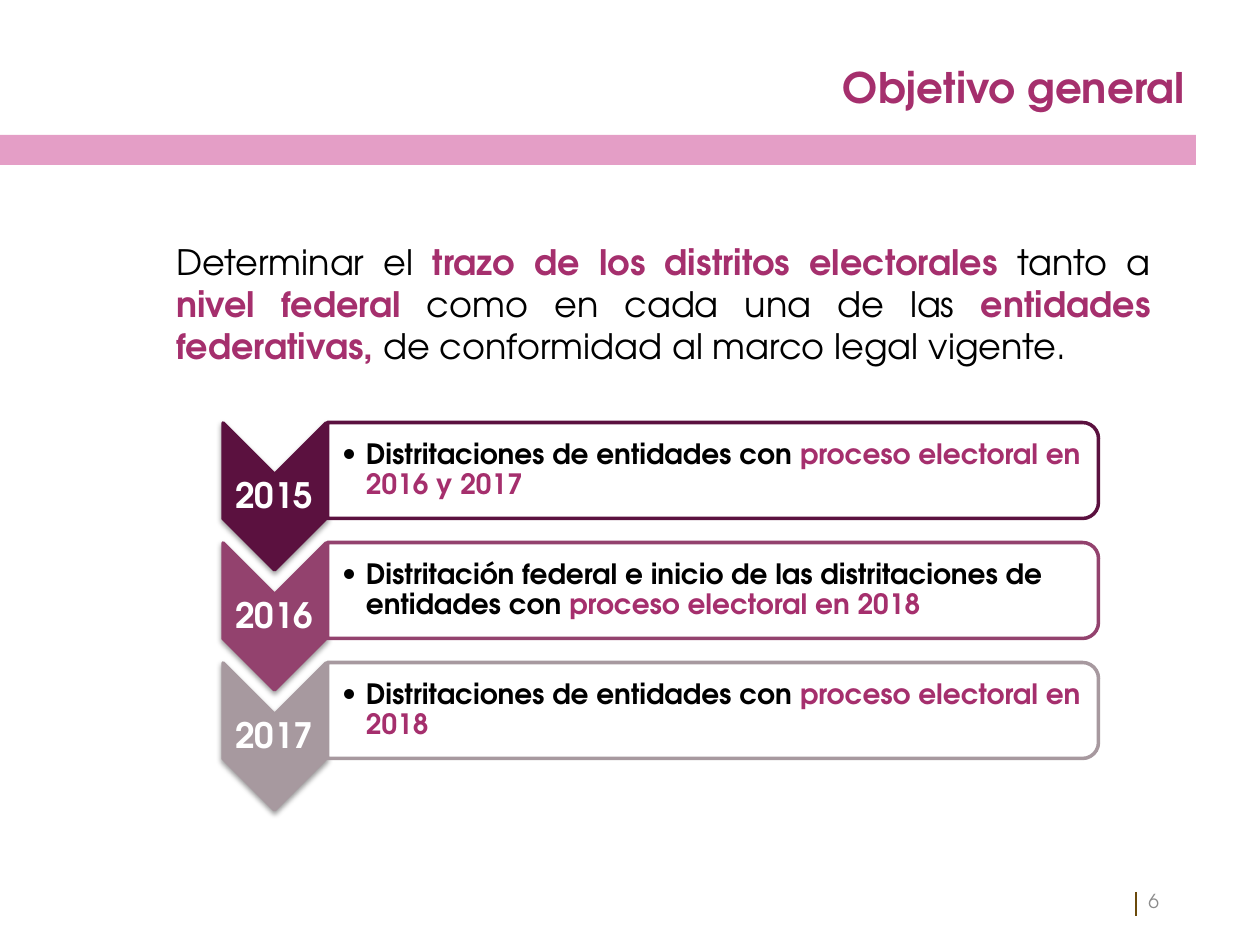
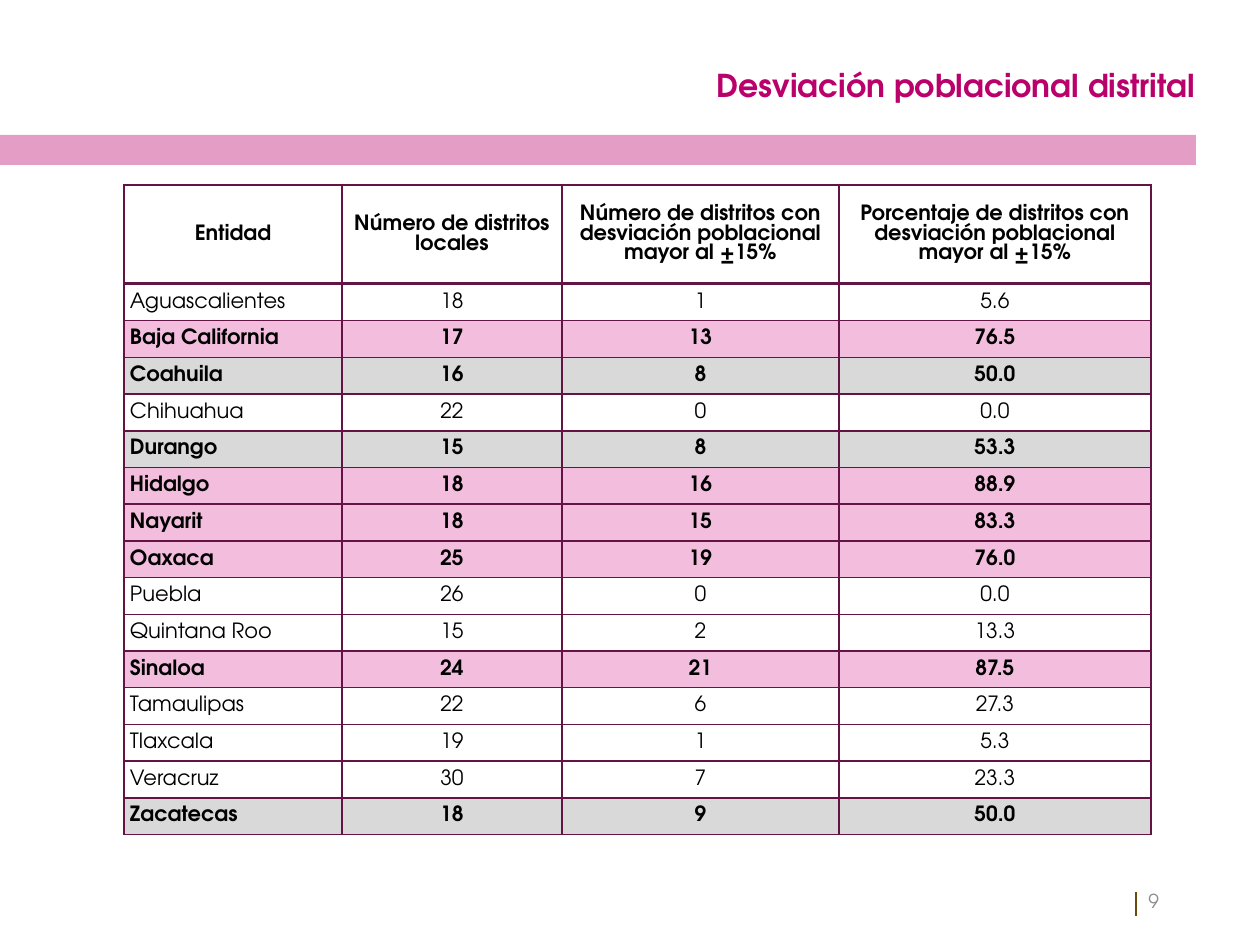
from lxml.etree import SubElement
from pptx import Presentation
from pptx.dml.color import RGBColor
from pptx.enum.shapes import MSO_CONNECTOR, MSO_SHAPE
from pptx.enum.text import MSO_ANCHOR, PP_ALIGN
from pptx.oxml import parse_xml
from pptx.oxml.ns import nsdecls, qn
from pptx.util import Emu, Pt

FONT = "TeX Gyre Adventor"
COLOURS = {
    "black": "000000", "white": "FFFFFF", "accent": "A52F6D", "magenta": "BA006B",
    "number": "8C8C8C", "tick": "6B4A0B", "border": "641345",
    "plum": "5B113F", "mauve": "93426E", "taupe": "A7999F",
    "pink": "F3BDDE", "grey": "D9D9D9",
}
RGB = {name: RGBColor.from_string(value) for name, value in COLOURS.items()}


def px(*lengths):
    """Turn pixels (126 to the inch) into EMU."""
    return [Emu(round(length * 914400 / 126)) for length in lengths]


def write(frame, segments, size, align=PP_ALIGN.LEFT, anchor=MSO_ANCHOR.MIDDLE, spacing=None):
    """Fill a text frame with one paragraph of (text, colour, bold) segments."""
    frame.word_wrap = True
    frame.vertical_anchor = anchor
    paragraph = frame.paragraphs[0]
    paragraph.alignment = align
    paragraph.line_spacing = spacing
    for text, colour, bold in segments:
        run = paragraph.add_run()
        run.text = text
        run.font.name, run.font.size, run.font.bold = FONT, Pt(size), bold
        run.font.color.rgb = RGB[colour]
    return paragraph


prs = Presentation()
prs.slide_width, prs.slide_height = px(1260, 945)

# Shared parts: band, title, page number and its tick
slides = []
for title, size, colour, frame, number in [
    ("Objetivo general", 24, "accent", (561, 38, 636, 97), "6"),
    ("Desviación poblacional distrital", 18, "magenta", (558, 47, 650, 76), "9"),
]:
    slide = prs.slides.add_slide(prs.slide_layouts[5])
    slides.append(slide)

    band = slide.shapes.add_shape(MSO_SHAPE.RECTANGLE, *px(0, 135, 1196, 30))
    band.shadow.inherit = False
    band.fill.solid()
    band.fill.fore_color.rgb = RGB["magenta"]
    band_colour = band.fill._xPr.find(".//" + qn("a:srgbClr"))
    SubElement(band_colour, qn("a:alpha"), val="38000")
    band.line.fill.background()

    heading = slide.shapes.title
    heading.left, heading.top, heading.width, heading.height = px(*frame)
    write(heading.text_frame, [(title, colour, True)], size, PP_ALIGN.RIGHT)

    page = slide.shapes.add_textbox(*px(1136, 876, 60, 50))
    write(page.text_frame, [(number, "number", False)], 11)

    tick = slide.shapes.add_connector(MSO_CONNECTOR.STRAIGHT, *px(1136, 892, 1136, 916))
    tick.line.color.rgb = RGB["tick"]
    tick.line.width = Pt(0.75)
    SubElement(tick._element.spPr, qn("a:effectLst"))

objective_slide, deviation_slide = slides

# Objective statement
statement = objective_slide.shapes.add_textbox(*px(164, 234, 999, 150))
write(statement.text_frame, [
    ("Determinar el ", "black", False),
    ("trazo de los distritos electorales ", "accent", True),
    ("tanto a ", "black", False),
    ("nivel federal ", "accent", True),
    ("como en cada una de las ", "black", False),
    ("entidades federativas, ", "accent", True),
    ("de conformidad al marco legal vigente.", "black", False),
], 20, PP_ALIGN.JUSTIFY, MSO_ANCHOR.TOP)

# Yearly stages: chevron, year, outlined panel and bullet
stages = [
    ("2015", "plum", "Distritaciones de entidades con ", "proceso electoral en 2016 y 2017"),
    ("2016", "mauve", "Distritación federal e inicio de las distritaciones de entidades con ",
     "proceso electoral en 2018"),
    ("2017", "taupe", "Distritaciones de entidades con ", "proceso electoral en 2018"),
]
STAGE_PITCH = 120
for i, (year, colour, task, election) in enumerate(stages):
    drop = i * STAGE_PITCH
    chevron = objective_slide.shapes.add_shape(MSO_SHAPE.CHEVRON, *px(201, 445 + drop, 147, 103))
    panel = objective_slide.shapes.add_shape(
        MSO_SHAPE.ROUND_2_SAME_RECTANGLE, *px(665, 85 + drop, 96, 771))
    for outline, fill in [(chevron, colour), (panel, "white")]:
        outline.rotation = 90
        outline.shadow.inherit = False
        outline.fill.solid()
        outline.fill.fore_color.rgb = RGB[fill]
        outline.line.color.rgb = RGB[colour]
        outline.line.width = Pt(2)
    shadow = SubElement(
        chevron._element.spPr.find(qn("a:effectLst")), qn("a:outerShdw"),
        blurRad=str(Pt(3.1)), dist=str(Pt(1.6)), dir="5400000", rotWithShape="0")
    shadow_colour = SubElement(shadow, qn("a:srgbClr"), val=COLOURS["black"])
    SubElement(shadow_colour, qn("a:alpha"), val="38000")

    year_label = objective_slide.shapes.add_textbox(*px(223, 475 + drop, 103, 44))
    task_label = objective_slide.shapes.add_textbox(*px(327, 427 + drop, 767, 87))
    for label, left_inset in [(year_label, 1), (task_label, 15)]:
        text = label.text_frame
        text.margin_left, text.margin_top, text.margin_right, text.margin_bottom = px(
            left_inset, 1, 1, 1)
    write(year_label.text_frame, [(year, "white", True)], 20, PP_ALIGN.CENTER, spacing=0.9)
    bullet = write(task_label.text_frame, [(task, "black", True), (election, "accent", True)],
                   16, spacing=0.9)
    indent = px(24)[0]
    properties = bullet._p.get_or_add_pPr()
    properties.set("marL", str(indent))
    properties.set("indent", str(-indent))
    SubElement(properties, qn("a:buFont"), typeface=FONT)
    SubElement(properties, qn("a:buChar"), char="•")

# Deviation table: local districts and those beyond ±15%
headers = [
    "Entidad", "Número de distritos locales",
    "Número de distritos con desviación poblacional mayor al ±15%",
    "Porcentaje de distritos con desviación poblacional mayor al ±15%",
]
entities = [
    ("Aguascalientes", 18, 1), ("Baja California", 17, 13), ("Coahuila", 16, 8),
    ("Chihuahua", 22, 0), ("Durango", 15, 8), ("Hidalgo", 18, 16), ("Nayarit", 18, 15),
    ("Oaxaca", 25, 19), ("Puebla", 26, 0), ("Quintana Roo", 15, 2), ("Sinaloa", 24, 21),
    ("Tamaulipas", 22, 6), ("Tlaxcala", 19, 1), ("Veracruz", 30, 7), ("Zacatecas", 18, 9),
]
rows = [(headers, None, True)]
for entity, districts, deviated in entities:
    share = 100 * deviated / districts
    highlight = "pink" if share >= 75 else "grey" if share >= 50 else None
    rows.append(([entity, str(districts), str(deviated), f"{share:.1f}"],
                 highlight, highlight is not None))

table = deviation_slide.shapes.add_table(
    len(rows), len(headers), *px(124, 185, 1027, 650)).table
table.first_row = table.horz_banding = False
for column, width in zip(table.columns, px(218, 220, 277, 312)):
    column.width = width
header_height, body_height = px(99, 551)
for r, (values, highlight, bold) in enumerate(rows):
    table.rows[r].height = header_height if r == 0 else Emu(body_height // len(entities))
    for c, value in enumerate(values):
        cell = table.cell(r, c)
        cell.margin_left, cell.margin_top, cell.margin_right, cell.margin_bottom = px(6, 5, 6, 5)
        cell.vertical_anchor = MSO_ANCHOR.MIDDLE
        write(cell.text_frame, [(value, "black", bold)], 12,
              PP_ALIGN.LEFT if r and c == 0 else PP_ALIGN.CENTER)
        cell_properties = cell._tc.get_or_add_tcPr()
        for side in "LRTB":
            thick = (r, side) in [(0, "B"), (1, "T")]
            cell_properties.append(parse_xml(
                f'<a:ln{side} {nsdecls("a")} w="{Pt(2 if thick else 1)}"><a:solidFill>'
                f'<a:srgbClr val="{COLOURS["border"]}"/></a:solidFill></a:ln{side}>'))
        if highlight:
            cell.fill.solid()
            cell.fill.fore_color.rgb = RGB[highlight]
        else:
            cell.fill.background()

prs.save("out.pptx")
